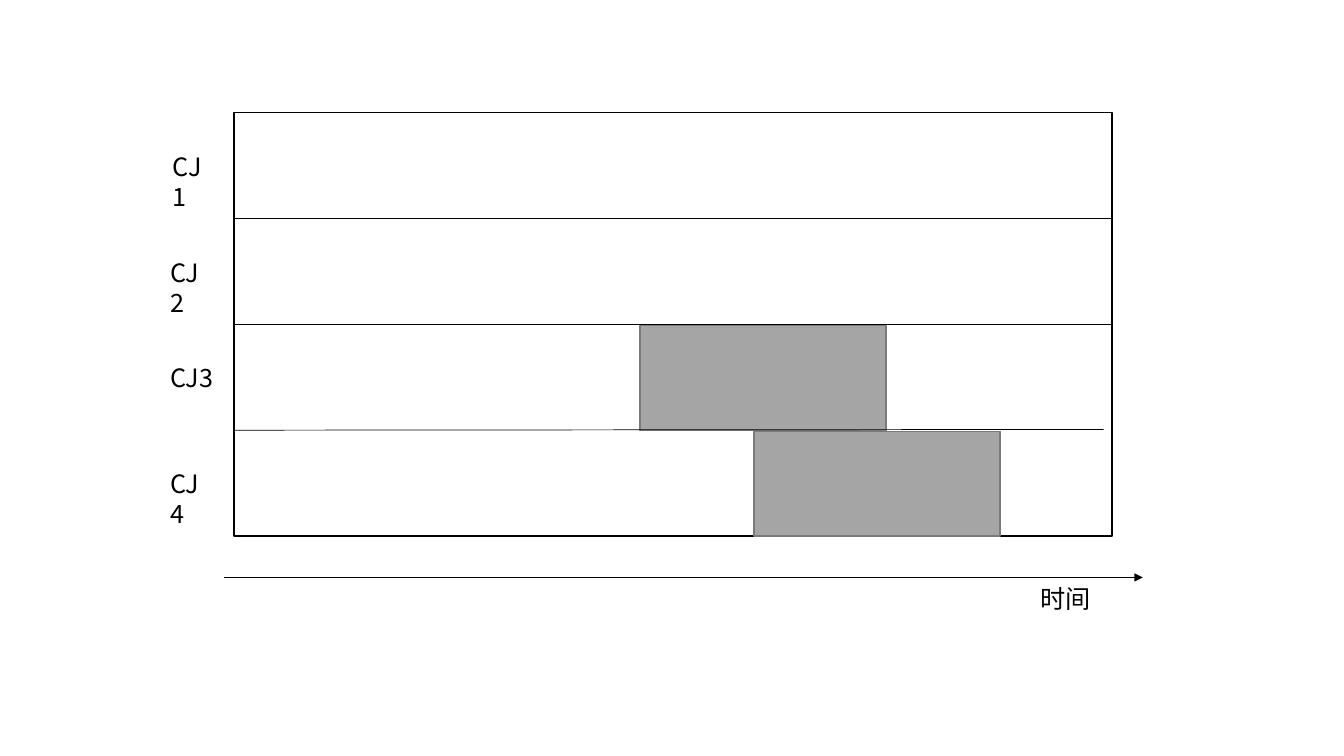
"""Build a timeline slide with four CJ lanes and two busy intervals."""
from lxml import etree
from pptx import Presentation
from pptx.dml.color import RGBColor
from pptx.enum.shapes import MSO_CONNECTOR, MSO_SHAPE
from pptx.oxml.ns import qn
from pptx.util import Cm, Pt

RECTANGLE = MSO_SHAPE.RECTANGLE
STRAIGHT = MSO_CONNECTOR.STRAIGHT

LANES = [("CJ1", 4.11, 1.47), ("CJ2", 4.04, 1.47),
         ("CJ3", 4.04, 2.51), ("CJ4", 4.04, 1.47)]
INTERVALS = [(3, 19.0), (2, 16.13)]
TIME_LABEL = "时间"

BLACK = RGBColor(0x00, 0x00, 0x00)
WHITE = RGBColor(0xFF, 0xFF, 0xFF)
GREY = RGBColor(0xA5, 0xA5, 0xA5)
DARK_GREY = RGBColor(0x7A, 0x7A, 0x7A)
FONT = "Noto Sans CJK SC"

FRAME_LEFT, FRAME_TOP = 5.9, 2.84
FRAME_WIDTH, LANE_HEIGHT = 22.13, 2.667
FRAME_RIGHT = FRAME_LEFT + FRAME_WIDTH
INTERVAL_WIDTH, INTERVAL_HEIGHT, INTERVAL_GAP = 6.2, 2.64, 0.03
LABEL_OFFSET, LABEL_HEIGHT = 0.84, 1.02
AXIS_LEFT, AXIS_RIGHT, AXIS_Y = 5.64, 28.8, 14.55


def lane_top(lane):
    return FRAME_TOP + lane * LANE_HEIGHT


def add_text(slide, text, left, top, width, size=18, color=BLACK, font=FONT):
    box = slide.shapes.add_textbox(Cm(left), Cm(top), Cm(width), Cm(LABEL_HEIGHT))
    box.text_frame.word_wrap = True
    run = box.text_frame.paragraphs[0].add_run()
    run.text = text
    run.font.size = Pt(size)
    run.font.color.rgb = color
    run.font.name = font
    etree.SubElement(run.font._element, qn("a:ea"), typeface=font)


def add_box(slide, left, top, width, height, fill, line):
    box = slide.shapes.add_shape(RECTANGLE, Cm(left), Cm(top), Cm(width), Cm(height))
    box.shadow.inherit = False
    box.fill.solid()
    box.fill.fore_color.rgb = fill
    box.line.color.rgb = line
    box.line.width = Pt(1)


def add_line(slide, left, start_y, right, end_y, arrow=False):
    line = slide.shapes.add_connector(STRAIGHT, Cm(left), Cm(start_y), Cm(right), Cm(end_y))
    line.line.color.rgb = BLACK
    line.line.width = Pt(0.5)
    if arrow:
        etree.SubElement(line.line._get_or_add_ln(), qn("a:tailEnd"), type="triangle")
    etree.SubElement(line._element.spPr, qn("a:effectLst"))


def main():
    deck = Presentation()
    deck.slide_width, deck.slide_height = Cm(33.87), Cm(19.05)
    slide = deck.slides.add_slide(deck.slide_layouts[6])

    add_box(slide, FRAME_LEFT, FRAME_TOP, FRAME_WIDTH, LANE_HEIGHT * len(LANES), WHITE, BLACK)
    for lane, start in INTERVALS:
        add_box(slide, start, lane_top(lane) + INTERVAL_GAP,
                INTERVAL_WIDTH, INTERVAL_HEIGHT, GREY, DARK_GREY)

    for lane in (1, 2):
        add_line(slide, FRAME_LEFT, lane_top(lane), FRAME_RIGHT, lane_top(lane))
    add_line(slide, FRAME_LEFT, lane_top(3), FRAME_RIGHT - 0.22, lane_top(3) - 0.02)

    for lane, (name, left, width) in enumerate(LANES):
        add_text(slide, name, left, lane_top(lane) + LABEL_OFFSET, width)

    add_line(slide, AXIS_LEFT, AXIS_Y, AXIS_RIGHT, AXIS_Y, arrow=True)
    add_text(slide, TIME_LABEL, 25.96, AXIS_Y + 0.03, 3.73)
    deck.save("out.pptx")


if __name__ == "__main__":
    main()
